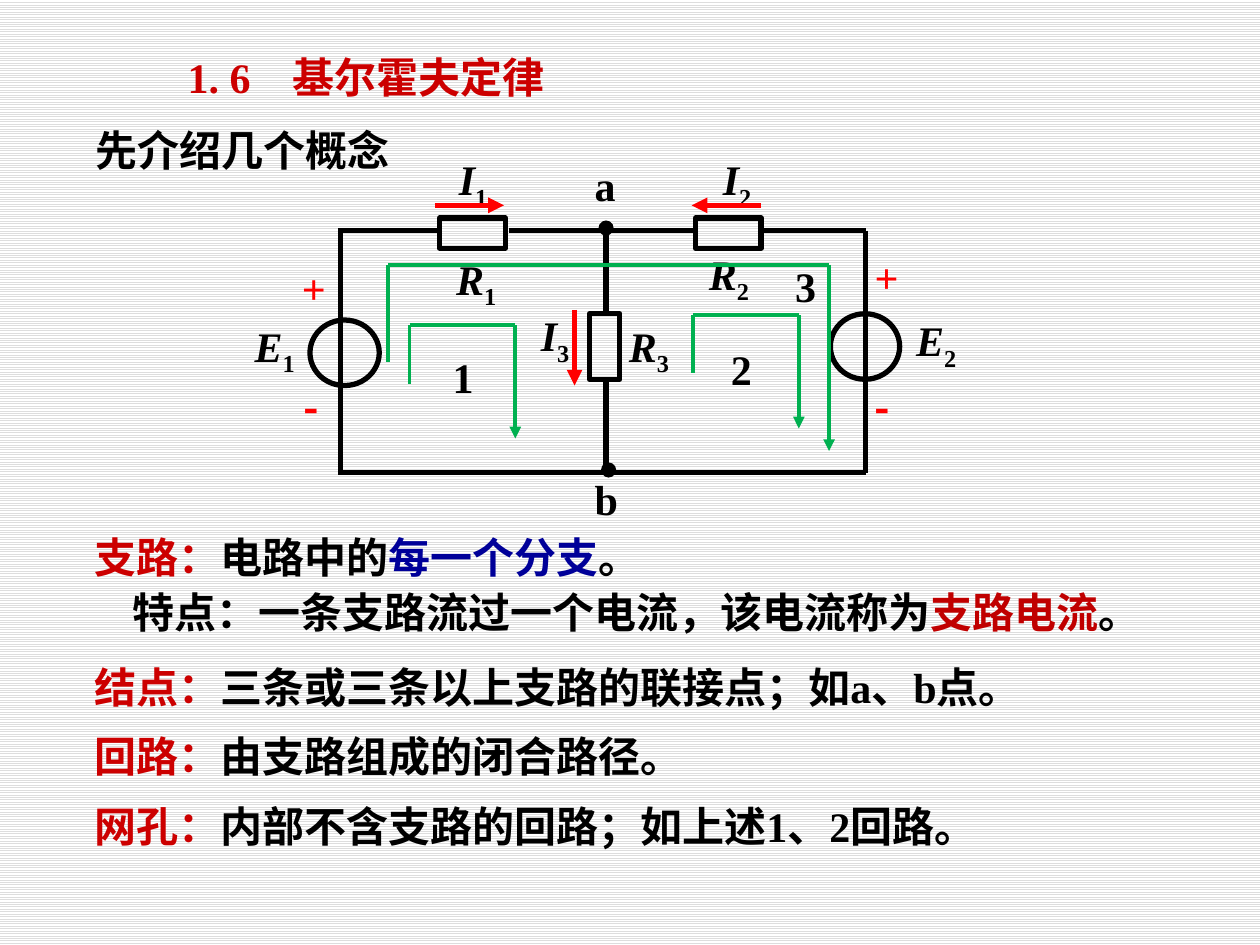
from typing import NamedTuple

from lxml.etree import SubElement
from pptx import Presentation
from pptx.dml.color import RGBColor
from pptx.enum.dml import MSO_PATTERN
from pptx.enum.shapes import MSO_CONNECTOR, MSO_SHAPE
from pptx.enum.text import MSO_AUTO_SIZE, PP_ALIGN
from pptx.oxml.ns import qn
from pptx.util import Inches, Pt

COLOURS = {"ink": "000000", "term": "CC0000", "accent": "C00000", "navy": "000099",
           "signal": "FF0000", "loop": "00B050", "stripe": "DDDDDD", "paper": "FFFFFF"}
SERIF = "Times New Roman"
HAN = "Noto Sans CJK SC"


class Span(NamedTuple):
    """A run of text with its look."""
    text: str
    colour: str = "ink"
    italic: bool = False
    subscript: bool = False
    font: str = SERIF


class Label(NamedTuple):
    """A short text in the circuit."""
    left: float
    top: float
    width: float
    spans: list[Span]


class Stroke(NamedTuple):
    """A straight line between two points."""
    x1: float
    y1: float
    x2: float
    y2: float


class Component(NamedTuple):
    """A circuit part drawn as a preset shape."""
    kind: MSO_SHAPE
    left: float
    top: float
    width: float
    height: float
    filled: bool = False


class Loop(NamedTuple):
    """A numbered loop that turns clockwise."""
    number: str
    left: float
    right: float
    top: float
    start: float
    end: float
    number_left: float
    number_top: float


def rgb(name: str) -> RGBColor:
    """Return a named colour."""
    return RGBColor.from_string(COLOURS[name])


def quantity(symbol: str, index: str) -> list[Span]:
    """Return an italic symbol with its index."""
    return [Span(symbol, italic=True), Span(index, subscript=True)]


def add_text(slide, left: float, top: float, width: float, height: float,
             paragraphs: list[list[Span]], inset: bool = False,
             align=PP_ALIGN.LEFT, wrap: bool = True):
    """Add a text box and return its paragraphs."""
    frame = slide.shapes.add_textbox(
        Inches(left), Inches(top), Inches(width), Inches(height)).text_frame
    frame.word_wrap = wrap
    frame.auto_size = MSO_AUTO_SIZE.SHAPE_TO_FIT_TEXT
    if not inset:
        frame.margin_left = frame.margin_right = 0
        frame.margin_top = frame.margin_bottom = 0
    for index, spans in enumerate(paragraphs):
        paragraph = frame.add_paragraph() if index else frame.paragraphs[0]
        paragraph.alignment = align
        for span in spans:
            run = paragraph.add_run()
            run.text = span.text
            run.font.size = Pt(24)
            run.font.bold = True
            run.font.italic = span.italic
            run.font.name = span.font
            run.font.color.rgb = rgb(span.colour)
            properties = run._r.get_or_add_rPr()
            SubElement(properties, qn("a:ea")).set("typeface", HAN)
            if span.subscript:
                properties.set("baseline", "-25000")
    return frame.paragraphs


def add_label(slide, label: Label) -> None:
    """Add a centred circuit label."""
    add_text(slide, label.left, label.top, label.width, 0.4, [label.spans],
             align=PP_ALIGN.CENTER)


def add_stroke(slide, stroke: Stroke, colour: str = "ink", weight: float = 3,
               arrow: bool = False) -> None:
    """Add a line, with an arrowhead at its end if asked."""
    connector = slide.shapes.add_connector(
        MSO_CONNECTOR.STRAIGHT, *(Inches(value) for value in stroke))
    connector.line.color.rgb = rgb(colour)
    connector.line.width = Pt(weight)
    if arrow:
        SubElement(connector.line._get_or_add_ln(), qn("a:tailEnd")).set("type", "triangle")
    SubElement(connector._element.spPr, qn("a:effectLst"))


def add_component(slide, part: Component) -> None:
    """Add a source, a resistor or a node."""
    shape = slide.shapes.add_shape(
        part.kind, Inches(part.left), Inches(part.top), Inches(part.width), Inches(part.height))
    shape.shadow.inherit = False
    if part.filled:
        shape.fill.solid()
        shape.fill.fore_color.rgb = rgb("ink")
        shape.line.fill.background()
    else:
        shape.fill.background()
        shape.line.color.rgb = rgb("ink")
        shape.line.width = Pt(3)


def add_loop(slide, loop: Loop) -> None:
    """Add the three sides and the number of a loop."""
    add_stroke(slide, Stroke(loop.right, loop.top, loop.left, loop.top), "loop", 2.25)
    add_stroke(slide, Stroke(loop.right, loop.top, loop.right, loop.end), "loop", 2.25, True)
    add_stroke(slide, Stroke(loop.left, loop.top, loop.left, loop.start), "loop", 2.25)
    add_text(slide, loop.number_left, loop.number_top, 0.37, 0.51, [[Span(loop.number)]],
             inset=True, align=PP_ALIGN.CENTER, wrap=False)


CURRENTS = [
    (Label(3.42, 1.22, 0.67, quantity("I", "1")), Stroke(3.45, 1.63, 4, 1.63)),
    (Label(5.55, 1.22, 0.6, quantity("I", "2")), Stroke(6.04, 1.63, 5.49, 1.63)),
    (Label(4.13, 2.46, 0.55, quantity("I", "3")), Stroke(4.56, 2.46, 4.56, 3.06)),
]
NODE_NAMES = [("a", 1.33), ("b", 3.82)]
LABELS = [
    Label(1.95, 2.54, 0.46, quantity("E", "1")),
    Label(7.2, 2.5, 0.46, quantity("E", "2")),
    Label(3.33, 2.01, 0.9, quantity("R", "1")),
    Label(5.42, 1.97, 0.73, quantity("R", "2")),
    Label(4.98, 2.54, 0.34, quantity("R", "3")),
    Label(2.29, 2.08, 0.4, [Span("+", "signal")]),
    Label(6.79, 2, 0.49, [Span("+", "signal")]),
    Label(2.27, 3.03, 0.4, [Span("-", "signal", font=HAN)]),
    Label(6.8, 3.03, 0.4, [Span("-", "signal", font=HAN)]),
]
WIRES = [
    Stroke(2.7, 1.83, 3.49, 1.83), Stroke(4.04, 1.83, 5.54, 1.83),
    Stroke(6.04, 1.83, 6.87, 1.83), Stroke(6.87, 1.83, 6.87, 3.75),
    Stroke(2.7, 3.75, 6.87, 3.75), Stroke(2.7, 1.81, 2.7, 3.77),
    Stroke(4.81, 1.84, 4.81, 2.5), Stroke(4.81, 3, 4.81, 3.75),
]
COMPONENTS = [
    Component(MSO_SHAPE.OVAL, 2.46, 2.54, 0.55, 0.52),
    Component(MSO_SHAPE.OVAL, 6.59, 2.49, 0.55, 0.52),
    Component(MSO_SHAPE.RECTANGLE, 3.49, 1.73, 0.52, 0.24),
    Component(MSO_SHAPE.RECTANGLE, 5.52, 1.73, 0.52, 0.24),
    Component(MSO_SHAPE.RECTANGLE, 4.68, 2.49, 0.24, 0.52),
    Component(MSO_SHAPE.OVAL, 4.75, 1.75, 0.12, 0.12, True),
    Component(MSO_SHAPE.OVAL, 4.77, 3.67, 0.12, 0.12, True),
]
LOOPS = [
    Loop("1", 3.25, 4.09, 2.58, 3.05, 3.48, 3.49, 2.74),
    Loop("2", 5.5, 6.34, 2.5, 2.96, 3.4, 5.7, 2.68),
    Loop("3", 3.08, 6.58, 2.1, 2.87, 3.58, 6.21, 2.02),
]
BRANCH = [
    [Span("支路：", "term"), Span("电路中的"), Span("每一个分支", "navy"), Span("。")],
    [Span("特点：一条支路流过一个电流，该电流称为"), Span("支路电流", "accent"), Span("。")],
]
TERMS = [("结点：", "三条或三条以上支路的联接点；如a、b点。"),
         ("回路：", "由支路组成的闭合路径。"),
         ("网孔：", "内部不含支路的回路；如上述1、2回路。")]


def main() -> None:
    """Build the slide on Kirchhoff's laws."""
    deck = Presentation()
    deck.slide_width, deck.slide_height = Inches(10), Inches(7.5)
    slide = deck.slides.add_slide(deck.slide_layouts[6])
    backdrop = slide.background.fill
    backdrop.patterned()
    backdrop.pattern = MSO_PATTERN.LIGHT_HORIZONTAL
    backdrop.fore_color.rgb, backdrop.back_color.rgb = rgb("stripe"), rgb("paper")

    heading = add_text(slide, 1.22, 0.36, 4.09, 0.5,
                       [[Span("1. 6\t基尔霍夫定律", "term")]], inset=True)[0]
    heading_layout = heading._p.get_or_add_pPr()
    heading_layout.set("indent", str(Inches(0.17)))
    stops = SubElement(heading_layout, qn("a:tabLst"))
    SubElement(stops, qn("a:tab"), pos=str(Inches(0.98)), algn="l")

    add_text(slide, 0.76, 0.99, 2.91, 0.4, [[Span("先介绍几个概念")]])
    feature = add_text(slide, 0.75, 4.22, 8.42, 0.85, BRANCH)[1]
    feature.space_before = Pt(2.4)
    feature._p.get_or_add_pPr().set("indent", str(Inches(0.3)))
    for row, (term, meaning) in enumerate(TERMS):
        add_text(slide, 0.75, 5.25 + 0.55 * row, 9.06, 0.4,
                 [[Span(term, "term"), Span(meaning)]])

    for label, direction in CURRENTS:
        add_label(slide, label)
        add_stroke(slide, direction, "signal", arrow=True)
    for name, top in NODE_NAMES:
        add_text(slide, 4.62, top, 0.38, 0.38, [[Span(name)]],
                 inset=True, wrap=False)[0].line_spacing = 0.7
    for label in LABELS:
        add_label(slide, label)
    for wire in WIRES:
        add_stroke(slide, wire)
    for part in COMPONENTS:
        add_component(slide, part)
    for loop in LOOPS:
        add_loop(slide, loop)
    deck.save("out.pptx")


if __name__ == "__main__":
    main()
